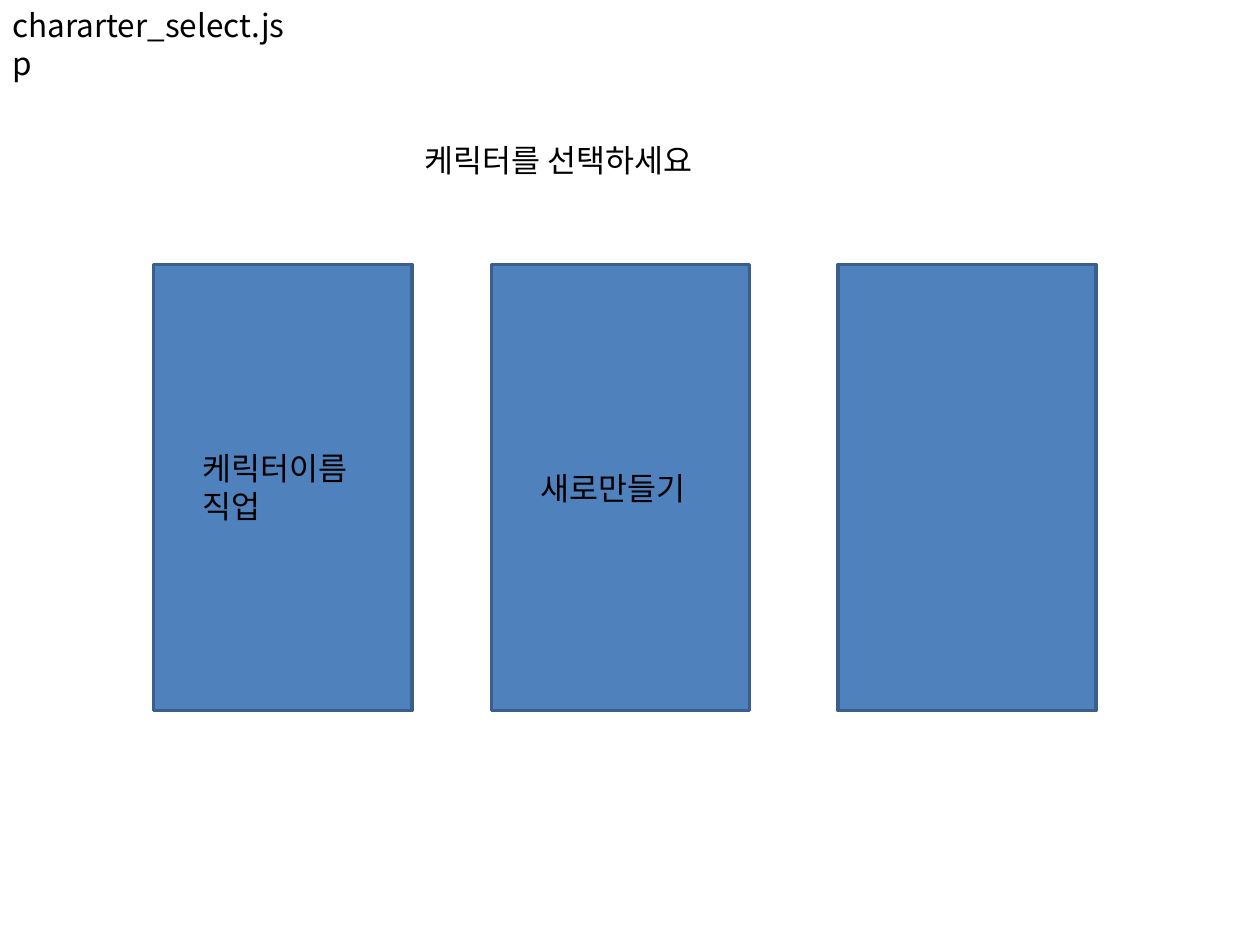
from lxml.etree import SubElement as Sub
from pptx import Presentation as Deck
from pptx.dml.color import RGBColor as Rgb
from pptx.enum.shapes import MSO_SHAPE as Kind
from pptx.enum.text import MSO_AUTO_SIZE as Fit
from pptx.oxml.ns import qn
from pptx.util import Inches, Pt

HUES = {"fill": "4F81BD", "edge": "3A5F8C", "text": "000000"}
FACE = "Noto Sans CJK KR"


def hue(name):
    return Rgb.from_string(HUES[name])


class Page:
    """Holds the text style and the current slide."""

    font = {"name": FACE, "size": Pt(18)}
    frame = {"word_wrap": True, "auto_size": Fit.SHAPE_TO_FIT_TEXT}

    def __init__(self, slide):
        self.shapes = slide.shapes

    def card(self, *box):
        card = self.shapes.add_shape(Kind.RECTANGLE, *map(Inches, box))
        card.shadow.inherit = False
        card.fill.solid()
        card.fill.fore_color.rgb = hue("fill")
        card.line.color.rgb = hue("edge")
        card.line.width = Pt(2)

    def label(self, lines, *box):
        frame = self.shapes.add_textbox(*map(Inches, box)).text_frame
        for key, value in self.frame.items():
            setattr(frame, key, value)
        frame.text = "\n".join(lines)
        for para in frame.paragraphs:
            for run in para.runs:
                for key, value in self.font.items():
                    setattr(run.font, key, value)
                run.font.color.rgb = hue("text")
                # Hangul takes the East Asian typeface
                Sub(run.font._element, qn("a:ea"), typeface=FACE)


def main():
    deck = Deck()
    deck.slide_width, deck.slide_height = Inches(10), Inches(7.5)
    page = Page(deck.slides.add_slide(deck.slide_layouts[6]))

    # File name and heading
    page.label(["chararter_select.jsp"], 0, 0, 2.36, 0.4)
    page.label(["케릭터를 선택하세요"], 3.27, 1.07, 2.56, 0.4)

    # Character slots
    top, wide, high = 2.1, 2.05, 3.54
    slots = [
        (1.22, ["케릭터이름", "직업"], 0.71),
        (3.9, ["새로만들기"], 0.4),
        (6.65, [], 0),
    ]
    for left, lines, tall in slots:
        page.card(left, top, wide, high)
        if lines:
            page.label(lines, left + 0.29, top + (high - tall) / 2, 1.46, tall)

    deck.save("out.pptx")


if __name__ == "__main__":
    main()
